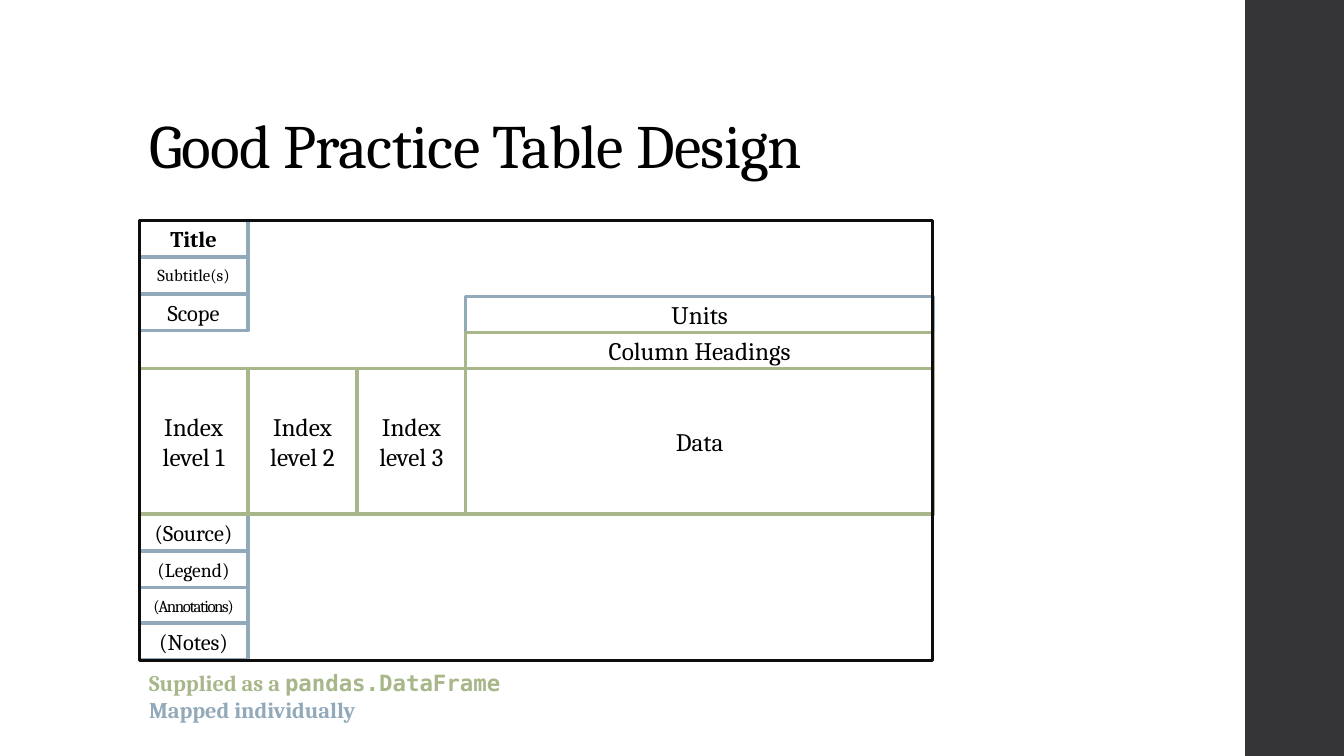
from pptx import Presentation
from pptx import util as u
from pptx.dml.color import RGBColor
from pptx.enum import shapes, text

COLOURS = {
    "ink": "000000",
    "frame": "0D0D0D",
    "mapped": "92A9B9",
    "supplied": "A7B789",
    "sidebar": "353537",
}
SERIF, MONO = "Cambria", "DejaVu Sans Mono"

LEFT, TOP = 1.38, 2.19
COL, ROW = 1.08, 0.36
DATA_LEFT, DATA_WIDTH = LEFT + 3 * COL, 4.64
BODY_TOP, BODY_HEIGHT = 3.66, 4 * ROW


class TableDiagram:
    """Draws on one slide with a shared font and palette."""

    def __init__(self, slide):
        self.slide = slide

    def colour(self, name):
        return RGBColor.from_string(COLOURS[name])

    def run(self, paragraph, words, size, colour="ink", bold=False, font=SERIF, spacing=0):
        """Add one run; spacing is the letter spacing in points."""
        run = paragraph.add_run()
        run.text = words
        run.font.size = u.Pt(size)
        run.font.name = font
        run.font.bold = bold
        run.font.color.rgb = self.colour(colour)
        if spacing:
            run._r.get_or_add_rPr().set("spc", str(int(spacing * 100)))

    def title(self, words):
        heading = self.slide.shapes.title
        heading.left, heading.top = u.Inches(LEFT), u.Inches(0.4)
        heading.width, heading.height = u.Inches(10.6), u.Inches(1.45)
        frame = heading.text_frame
        frame.auto_size = text.MSO_AUTO_SIZE.NONE
        frame.vertical_anchor = text.MSO_ANCHOR.BOTTOM
        line = frame.paragraphs[0]
        line.alignment = text.PP_ALIGN.LEFT
        line.line_spacing = 0.9
        self.run(line, words, 44, spacing=-0.5)

    def box(self, left, top, width, height, line=None, fill=None):
        box = self.slide.shapes.add_shape(
            shapes.MSO_SHAPE.RECTANGLE,
            u.Inches(left), u.Inches(top), u.Inches(width), u.Inches(height))
        box.shadow.inherit = False
        if fill:
            box.fill.solid()
            box.fill.fore_color.rgb = self.colour(fill)
        else:
            box.fill.background()
        if line:
            box.line.color.rgb = self.colour(line)
            box.line.width = u.Pt(2.25)
        else:
            box.line.fill.background()
        return box

    def cell(self, words, left, top, width, height, line, size=18, **style):
        frame = self.box(left, top, width, height, line).text_frame
        frame.word_wrap = True
        frame.vertical_anchor = text.MSO_ANCHOR.MIDDLE
        label = frame.paragraphs[0]
        label.alignment = text.PP_ALIGN.CENTER
        self.run(label, words, size, **style)

    def key(self, left, top, width, height, entries):
        """Write each entry, a list of (words, colour, font), as a paragraph."""
        key = self.slide.shapes.add_textbox(
            u.Inches(left), u.Inches(top), u.Inches(width), u.Inches(height))
        frame = key.text_frame
        frame.word_wrap = True
        frame.auto_size = text.MSO_AUTO_SIZE.SHAPE_TO_FIT_TEXT
        for index, entry in enumerate(entries):
            line = frame.add_paragraph() if index else frame.paragraphs[0]
            for words, colour, font in entry:
                self.run(line, words, 16, colour, True, font)


def main():
    deck = Presentation()
    deck.slide_width, deck.slide_height = u.Inches(13.33), u.Inches(7.5)
    diagram = TableDiagram(deck.slides.add_slide(deck.slide_layouts[5]))

    diagram.box(12.35, 0, 1, 7.5, fill="sidebar")
    diagram.title("Good Practice Table Design")

    labels = [
        ("Title", 2.19, 16, {"bold": True}),
        ("Subtitle(s)", 2.55, 12, {}),
        ("Scope", 2.92, 16, {}),
        ("(Source)", 5.1, 16, {}),
        ("(Legend)", 5.47, 14, {}),
        ("(Annotations)", 5.83, 12, {"spacing": -1}),
        ("(Notes)", 6.18, 16, {}),
    ]
    for words, top, size, style in labels:
        diagram.cell(words, LEFT, top, COL, ROW, "mapped", size, **style)

    # Level 1 is drawn last so its green edge covers the Source cell
    for level in (2, 3, 1):
        diagram.cell(f"Index level {level}", LEFT + (level - 1) * COL, BODY_TOP,
                     COL, BODY_HEIGHT, "supplied")

    data_blocks = [
        ("Units", BODY_TOP - 2 * ROW, ROW, "mapped"),
        ("Column Headings", BODY_TOP - ROW, ROW, "supplied"),
        ("Data", BODY_TOP, BODY_HEIGHT, "supplied"),
    ]
    for words, top, height, line in data_blocks:
        diagram.cell(words, DATA_LEFT, top, DATA_WIDTH, height, line)

    diagram.box(LEFT, TOP, 7.87, 4.36, "frame")
    diagram.key(LEFT, 6.59, 4.92, 0.64, [
        [("Supplied as a ", "supplied", SERIF), ("pandas.DataFrame", "supplied", MONO)],
        [("Mapped individually", "mapped", SERIF)],
    ])
    deck.save("out.pptx")


if __name__ == "__main__":
    main()
